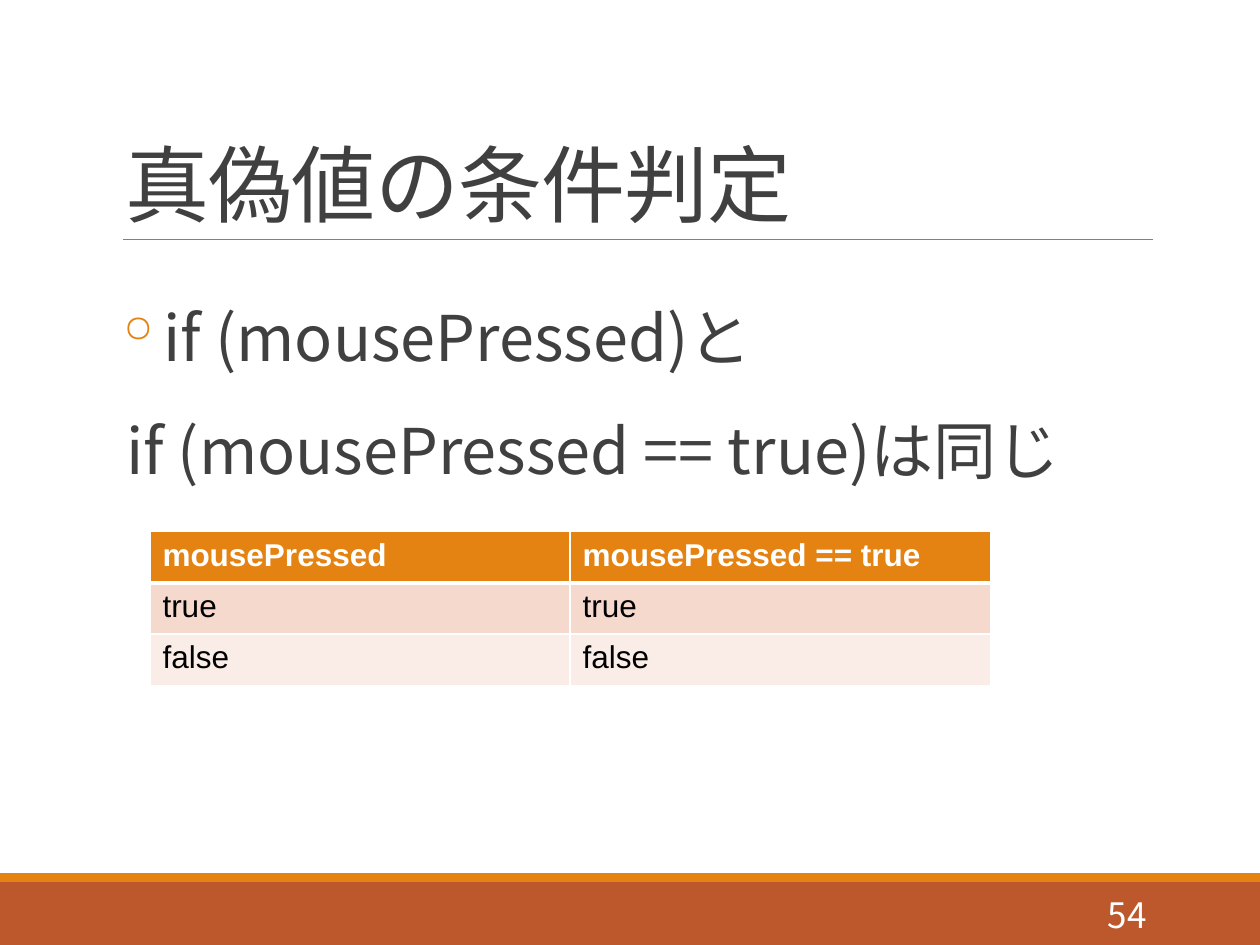
from dataclasses import dataclass

from lxml import etree
from pptx import Presentation
from pptx.dml.color import RGBColor
from pptx.enum.shapes import MSO_CONNECTOR, MSO_SHAPE
from pptx.enum.text import MSO_ANCHOR, PP_ALIGN
from pptx.oxml.ns import qn
from pptx.util import Inches, Pt

RECTANGLE, STRAIGHT = MSO_SHAPE.RECTANGLE, MSO_CONNECTOR.STRAIGHT
TOP, MIDDLE, BOTTOM = MSO_ANCHOR.TOP, MSO_ANCHOR.MIDDLE, MSO_ANCHOR.BOTTOM
LEFT, RIGHT = PP_ALIGN.LEFT, PP_ALIGN.RIGHT
COLUMNS, ROWS = 100, 75


@dataclass(frozen=True)
class Theme:
    orange: str = "E48312"
    rust: str = "BD582C"
    ink: str = "404040"
    rule: str = "808080"
    black: str = "000000"
    white: str = "FFFFFF"
    bands: tuple = ("F5D9CC", "FAEDE7")
    font: str = "Noto Sans CJK JP"
    table_font: str = "Arial"
    title_size: int = 48
    body_size: int = 36
    number_size: int = 20
    table_size: int = 18


def rgb(value):
    return RGBColor.from_string(value)


def add_xml(parent, tag, **attributes):
    return etree.SubElement(parent, qn(tag), attributes)


def write(frame, text, *, font, size, color, bold=False, align=LEFT,
          line_spacing=None, before=0, after=0, tracking=None):
    """Fill the frame's first paragraph; newlines become line breaks."""
    paragraph = frame.paragraphs[0]
    paragraph.alignment = align
    paragraph.line_spacing = line_spacing
    paragraph.space_before, paragraph.space_after = Pt(before), Pt(after)
    for index, line in enumerate(text.split("\n")):
        if index:
            paragraph.add_line_break()
        run = paragraph.add_run()
        run.text = line
        run.font.name, run.font.size, run.font.bold = font, Pt(size), bold
        run.font.color.rgb = rgb(color)
        properties = run.font._element
        add_xml(properties, "a:ea", typeface=font)
        if tracking is not None:
            properties.set("spc", str(round(tracking * 100)))
    for line_break in paragraph._p.findall(qn("a:br")):
        add_xml(line_break, "a:rPr", sz=str(size * 100))
    return paragraph


class SlideBuilder:
    """Places elements on a grid of COLUMNS by ROWS cells."""

    def __init__(self, presentation, theme):
        self.theme = theme
        self.column = presentation.slide_width / COLUMNS
        self.row = presentation.slide_height / ROWS
        self.slide = presentation.slides.add_slide(presentation.slide_layouts[6])

    def place(self, x, y, width, height):
        return (round(x * self.column), round(y * self.row),
                round(width * self.column), round(height * self.row))

    def band(self, y, height, color):
        """Full-width strip."""
        strip = self.slide.shapes.add_shape(
            RECTANGLE, *self.place(0, y, COLUMNS, height))
        strip.shadow.inherit = False
        strip.fill.solid()
        strip.fill.fore_color.rgb = rgb(color)
        strip.line.fill.background()

    def rule(self, x, y, width):
        line = self.slide.shapes.add_connector(
            STRAIGHT, *self.place(x, y, x + width, y))
        line.line.color.rgb = rgb(self.theme.rule)
        line.line.width = Pt(0.5)
        add_xml(line._element.spPr, "a:effectLst")

    def text(self, area, text, anchor=TOP, side_inset=0.1, **style):
        frame = self.slide.shapes.add_textbox(*self.place(*area)).text_frame
        frame.word_wrap = True
        frame.vertical_anchor = anchor
        frame.margin_left = frame.margin_right = Inches(side_inset)
        return write(frame, text, **{"font": self.theme.font, **style})

    def bullet(self, area, text, **style):
        properties = self.text(area, text, side_inset=0, **style)._p.get_or_add_pPr()
        hang = Inches(0.1)
        properties.set("marL", str(hang))
        properties.set("indent", str(-hang))
        add_xml(add_xml(properties, "a:buClr"), "a:srgbClr", val=self.theme.orange)
        add_xml(properties, "a:buChar", char="◦")

    def table(self, area, records):
        theme = self.theme
        grid = self.slide.shapes.add_table(
            len(records), len(records[0]), *self.place(*area)).table
        for r, record in enumerate(records):
            header = r == 0
            for c, value in enumerate(record):
                cell = grid.cell(r, c)
                write(cell.text_frame, value, font=theme.table_font,
                      size=theme.table_size, bold=header,
                      color=theme.white if header else theme.black)
                self.borders(cell, top=3 if r == 1 else 1, bottom=3 if header else 1)
                cell.fill.solid()
                cell.fill.fore_color.rgb = rgb(
                    theme.orange if header else theme.bands[(r - 1) % 2])

    def borders(self, cell, top, bottom):
        properties = cell._tc.get_or_add_tcPr()
        for side, width in (("L", 1), ("R", 1), ("T", top), ("B", bottom)):
            edge = add_xml(properties, f"a:ln{side}", w=str(Pt(width)))
            add_xml(add_xml(edge, "a:solidFill"), "a:srgbClr", val=self.theme.white)


def main():
    presentation = Presentation()
    presentation.slide_width, presentation.slide_height = Inches(10), Inches(7.5)
    theme = Theme()
    page = SlideBuilder(presentation, theme)

    page.band(70, 5, theme.rust)
    page.band(69.3, 0.7, theme.orange)
    page.rule(9.8, 19, 81.7)
    page.text((9, 3.1, 82.5, 15.9), "真偽値の条件判定", anchor=BOTTOM,
              size=theme.title_size, color=theme.ink,
              line_spacing=0.85, tracking=-0.5)
    page.bullet((9, 20.2, 82.5, 44),
                "if (mousePressed)と\nif (mousePressed == true)は同じ",
                size=theme.body_size, color=theme.ink,
                line_spacing=1.5, before=12, after=2)
    page.text((81.2, 70.6, 10.8, 4), "54", anchor=MIDDLE, align=RIGHT,
              size=theme.number_size, color=theme.white)
    page.table((11.9, 42.2, 66.7, 12.2), [
        ("mousePressed", "mousePressed == true"),
        ("true", "true"),
        ("false", "false"),
    ])
    presentation.save("out.pptx")


if __name__ == "__main__":
    main()
